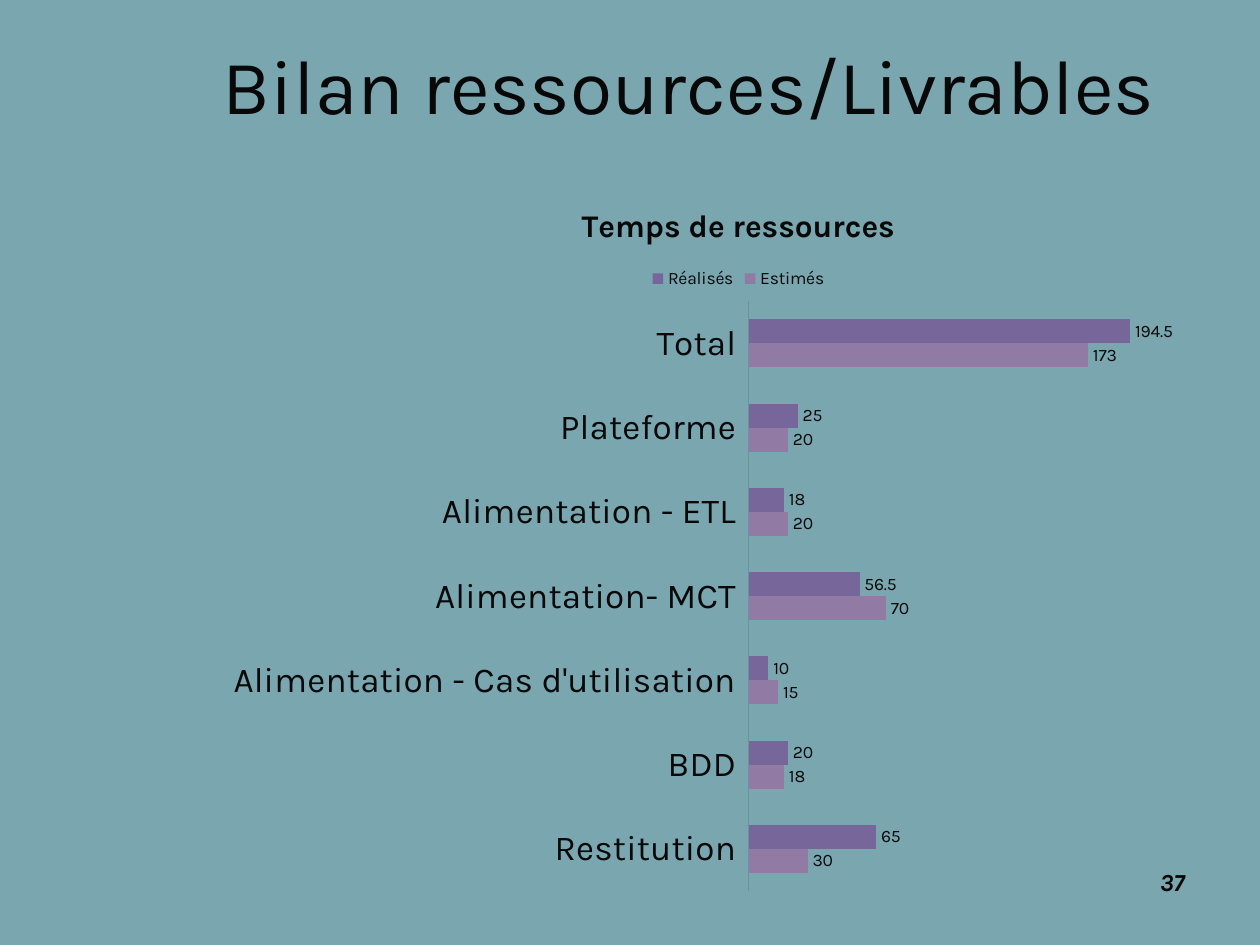
from lxml.etree import SubElement
from pptx import Presentation
from pptx.chart.data import CategoryChartData
from pptx.dml.color import RGBColor
from pptx.enum.chart import XL_CHART_TYPE, XL_LABEL_POSITION, XL_LEGEND_POSITION, XL_TICK_LABEL_POSITION, XL_TICK_MARK
from pptx.enum.text import MSO_ANCHOR, MSO_AUTO_SIZE, PP_ALIGN
from pptx.oxml.ns import qn
from pptx.util import Cm, Pt

FONT = "Karla"
INK = "080808"
BACKGROUND = "7AA6B0"
AXIS_LINE = "6C939C"
DELIVERABLES = ["Restitution", "BDD", "Alimentation - Cas d'utilisation", "Alimentation- MCT",
                "Alimentation - ETL", "Plateforme", "Total"]
RESOURCES = [
    ("Estimés", "917AA4", (30, 18, 15, 70, 20, 20, 173)),
    ("Réalisés", "76669A", (65, 20, 10, 56.5, 18, 25, 194.5)),
]


def color(hex_value):
    return RGBColor.from_string(hex_value)


def style(font, size, bold=False, italic=False):
    font.name = FONT
    font.size = Pt(size)
    font.bold = bold
    font.italic = italic
    font.color.rgb = color(INK)


def add_run(paragraph, text, size, bold=False, italic=False):
    run = paragraph.add_run()
    run.text = text
    style(run.font, size, bold, italic)


def set_title(slide, text):
    heading = slide.shapes.title
    heading.left, heading.top, heading.width, heading.height = Cm(4.24), Cm(0.2), Cm(20.5), Cm(2.97)
    frame = heading.text_frame
    frame.word_wrap = True
    frame.auto_size = MSO_AUTO_SIZE.NONE
    frame.vertical_anchor = MSO_ANCHOR.MIDDLE
    frame.paragraphs[0].alignment = PP_ALIGN.LEFT
    add_run(frame.paragraphs[0], text, 44)


def add_page_number(slide, number):
    frame = slide.shapes.add_textbox(Cm(18.21), Cm(17.35), Cm(5.92), Cm(1.32)).text_frame
    frame.word_wrap = True
    frame.paragraphs[0].alignment = PP_ALIGN.RIGHT
    add_run(frame.paragraphs[0], number, 14, bold=True, italic=True)


def place_plot(chart, x, y, w, h):
    plot_area = chart.plots[0]._element.getparent()
    for old_layout in plot_area.findall(qn("c:layout")):
        plot_area.remove(old_layout)
    layout = SubElement(plot_area, qn("c:layout"))
    plot_area.insert(0, layout)
    manual = SubElement(layout, qn("c:manualLayout"))
    settings = [("layoutTarget", "inner"), ("xMode", "edge"), ("yMode", "edge"),
                ("x", x), ("y", y), ("w", w), ("h", h)]
    for tag, value in settings:
        SubElement(manual, qn(f"c:{tag}")).set("val", str(value))


def format_axes(chart):
    deliverable_axis = chart.category_axis
    deliverable_axis.major_tick_mark = XL_TICK_MARK.NONE
    deliverable_axis.tick_label_position = XL_TICK_LABEL_POSITION.LOW
    deliverable_axis.format.line.color.rgb = color(AXIS_LINE)
    deliverable_axis.format.line.width = Pt(0.75)
    style(deliverable_axis.tick_labels.font, 20)
    time_axis = chart.value_axis
    time_axis.minimum_scale = 0
    time_axis.maximum_scale = 250
    time_axis.has_major_gridlines = False
    time_axis.visible = False


def format_series(series, fill):
    series.format.fill.solid()
    series.format.fill.fore_color.rgb = color(fill)
    labels = series.data_labels
    labels.show_value = True
    labels.position = XL_LABEL_POSITION.OUTSIDE_END
    style(labels.font, 10)


def add_resource_chart(slide):
    resource_data = CategoryChartData()
    resource_data.categories = DELIVERABLES
    for name, _, times in RESOURCES:
        resource_data.add_series(name, times)
    chart = slide.shapes.add_chart(XL_CHART_TYPE.BAR_CLUSTERED, Cm(4.37), Cm(3.58),
                                   Cm(21.03), Cm(14.68), resource_data).chart
    style(chart.font, 10)
    chart.has_title = True
    add_run(chart.chart_title.text_frame.paragraphs[0], "Temps de ressources", 18, bold=True)
    chart.has_legend = True
    chart.legend.position = XL_LEGEND_POSITION.TOP
    chart.legend.include_in_layout = False
    style(chart.legend.font, 10)
    format_axes(chart)
    bars = chart.plots[0]
    bars.gap_width = 150
    bars.overlap = 0
    bars.vary_by_categories = False
    for series, (_, fill, _) in zip(bars.series, RESOURCES):
        format_series(series, fill)
    place_plot(chart, 0.51, 0.17, 0.47, 0.81)


def main():
    deck = Presentation()
    deck.slide_width, deck.slide_height = Cm(25.4), Cm(19.05)
    slide = deck.slides.add_slide(deck.slide_layouts[5])
    slide.background.fill.solid()
    slide.background.fill.fore_color.rgb = color(BACKGROUND)
    set_title(slide, "Bilan ressources/Livrables")
    add_page_number(slide, "37")
    add_resource_chart(slide)
    deck.save("out.pptx")


if __name__ == "__main__":
    main()
